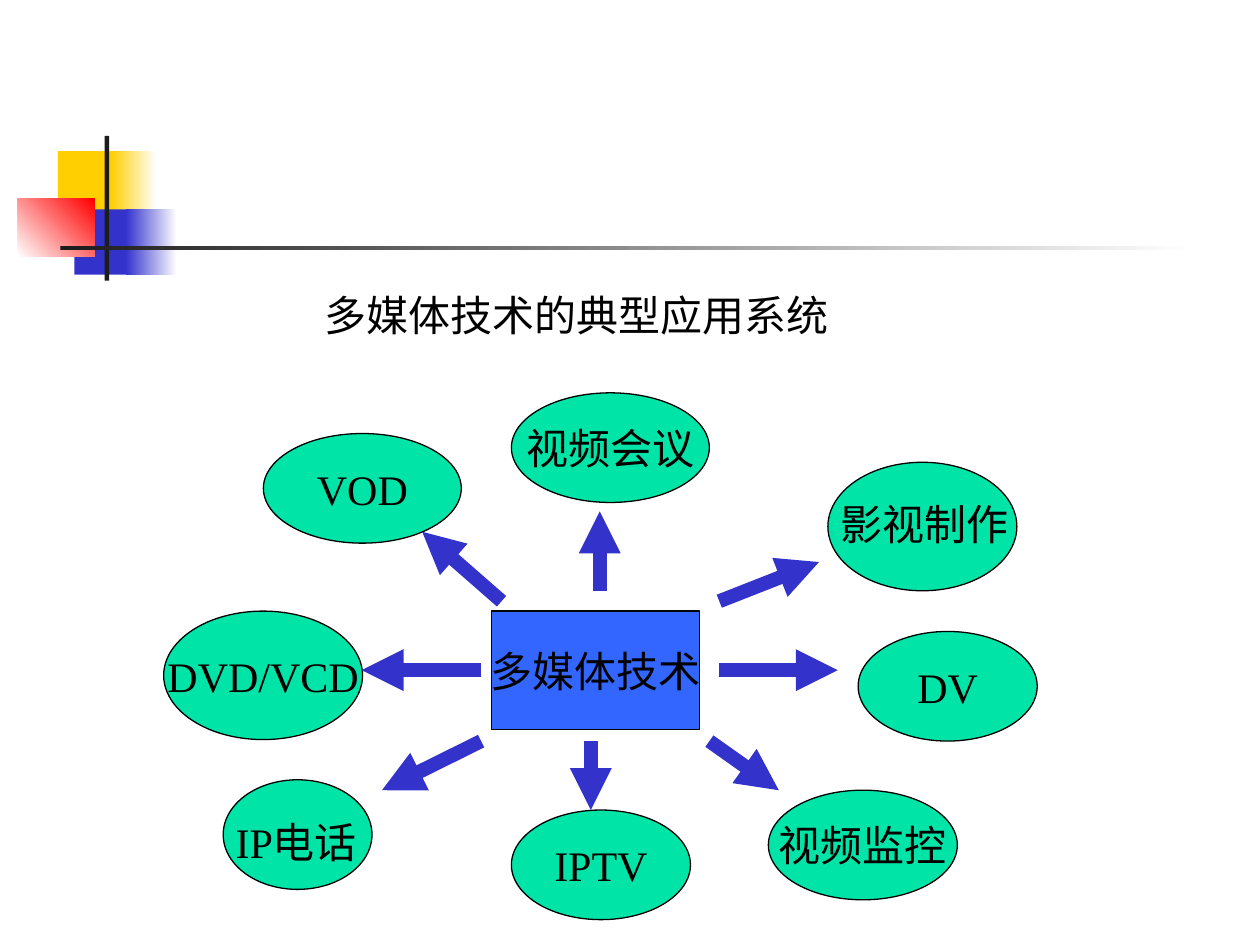
from dataclasses import dataclass
from typing import Optional

from lxml.etree import SubElement
from pptx import Presentation
from pptx.dml.color import RGBColor
from pptx.enum.shapes import MSO_CONNECTOR as Connector, MSO_SHAPE as Preset
from pptx.enum.text import MSO_ANCHOR as Anchor, PP_ALIGN as Align
from pptx.oxml.ns import qn
from pptx.shapes.autoshape import Shape
from pptx.slide import Slide
from pptx.text.text import TextFrame
from pptx.util import Cm, Pt


@dataclass(frozen=True)
class Theme:
    yellow: str = "FFCF01"
    blue: str = "3333CC"
    red: str = "FF0000"
    white: str = "FFFFFF"
    dark: str = "1C1C1C"
    ink: str = "000000"
    bubble: str = "00E4A8"
    hub: str = "3366FF"
    body_font: str = "Times New Roman"
    title_font: str = "Cabin"
    text_size: float = 24
    outline: float = 0.75
    arrow: float = 8


THEME = Theme()


@dataclass(frozen=True)
class Box:
    left: float
    top: float
    width: float
    height: float


@dataclass(frozen=True)
class Block:
    box: Box
    start: str
    end: Optional[str] = None
    angle: float = 0


@dataclass(frozen=True)
class Node:
    box: Box
    text: str = ""
    preset: Preset = Preset.OVAL
    fill: str = THEME.bubble


@dataclass(frozen=True)
class Label:
    box: Box
    text: str
    font: str = THEME.body_font


@dataclass(frozen=True)
class Arrow:
    start: tuple[float, float]
    end: tuple[float, float]


BLOCKS = [
    Block(Box(1.17, 3.05, 1.22, 1.32), THEME.yellow),
    Block(Box(2.24, 3.05, 0.91, 1.32), THEME.yellow, THEME.white),
    Block(Box(1.5, 4.22, 1.17, 1.32), THEME.blue),
    Block(Box(2.54, 4.22, 1.02, 1.32), THEME.blue, THEME.white),
    Block(Box(0.36, 4.01, 1.55, 1.17), THEME.white, THEME.red, 45),
    Block(Box(2.11, 2.74, 0.09, 2.92), THEME.dark),
    Block(Box(1.22, 4.95, 22.86, 0.09), THEME.dark, THEME.white),
]

NODES = [
    Node(Box(9.91, 12.32, 4.19, 2.39), "多媒体技术", Preset.RECTANGLE, THEME.hub),
    Node(Box(10.31, 7.92, 3.99, 2.21), "视频会议"),
    Node(Box(16.69, 9.32, 3.81, 2.59)),
    Node(Box(17.3, 12.73, 3.61, 2.21), "DV"),
    Node(Box(15.49, 15.93, 3.81, 2.21), "视频监控"),
    Node(Box(10.31, 16.33, 3.61, 2.21), "IPTV"),
    Node(Box(4.5, 15.72, 3, 2.21)),
    Node(Box(3.3, 12.32, 4.01, 2.59), "DVD/VCD"),
    Node(Box(5.31, 8.74, 3.99, 2.21), "VOD"),
]

LABELS = [
    Label(Box(4.5, 16.33, 3.2, 1.27), "IP电话"),
    Label(Box(16.69, 9.93, 4.19, 1.27), "影视制作"),
    Label(Box(6.3, 5.72, 12.8, 1.27), "多媒体技术的典型应用系统", THEME.title_font),
]

ARROWS = [
    Arrow((12.09, 11.91), (12.09, 10.31)),
    Arrow((14.5, 12.12), (16.51, 11.33)),
    Arrow((14.5, 13.51), (16.89, 13.51)),
    Arrow((14.3, 14.94), (15.7, 15.93)),
    Arrow((11.91, 14.94), (11.91, 16.33)),
    Arrow((9.7, 14.94), (7.7, 15.93)),
    Arrow((9.7, 13.51), (7.29, 13.51)),
    Arrow((10.11, 12.12), (8.51, 10.72)),
]


def color(value: str) -> RGBColor:
    return RGBColor.from_string(value)


def lengths(box: Box) -> tuple[Cm, Cm, Cm, Cm]:
    return Cm(box.left), Cm(box.top), Cm(box.width), Cm(box.height)


def write(frame: TextFrame, text: str, font: str, align: Align) -> None:
    frame.text = text
    paragraph = frame.paragraphs[0]
    paragraph.alignment = align
    for run in paragraph.runs:
        run.font.name = font
        run.font.size = Pt(THEME.text_size)
        run.font.color.rgb = color(THEME.ink)


def add_solid(slide: Slide, preset: Preset, box: Box, fill: str) -> Shape:
    shape = slide.shapes.add_shape(preset, *lengths(box))
    shape.shadow.inherit = False
    shape.fill.solid()
    shape.fill.fore_color.rgb = color(fill)
    return shape


def draw_block(slide: Slide, block: Block) -> None:
    shape = add_solid(slide, Preset.RECTANGLE, block.box, block.start)
    shape.line.fill.background()
    if block.end:
        shape.fill.gradient()
        shape.fill.gradient_angle = block.angle
        for stop, value in zip(shape.fill.gradient_stops, (block.start, block.end)):
            stop.color.rgb = color(value)


def draw_node(slide: Slide, node: Node) -> None:
    shape = add_solid(slide, node.preset, node.box, node.fill)
    shape.line.color.rgb = color(THEME.ink)
    shape.line.width = Pt(THEME.outline)
    if node.text:
        frame = shape.text_frame
        frame.word_wrap = False
        frame.vertical_anchor = Anchor.MIDDLE
        write(frame, node.text, THEME.body_font, Align.CENTER)


def draw_label(slide: Slide, label: Label) -> None:
    frame = slide.shapes.add_textbox(*lengths(label.box)).text_frame
    frame.word_wrap = True
    write(frame, label.text, label.font, Align.LEFT)


def draw_arrow(slide: Slide, arrow: Arrow) -> None:
    points = [Cm(value) for value in arrow.start + arrow.end]
    connector = slide.shapes.add_connector(Connector.STRAIGHT, *points)
    connector.line.color.rgb = color(THEME.blue)
    connector.line.width = Pt(THEME.arrow)
    SubElement(connector.line._get_or_add_ln(), qn("a:tailEnd"), type="triangle")
    SubElement(connector._element.spPr, qn("a:effectLst"))


def main() -> None:
    presentation = Presentation()
    presentation.slide_width = Cm(25.4)
    presentation.slide_height = Cm(19.05)
    slide = presentation.slides.add_slide(presentation.slide_layouts[6])
    for items, draw in (
        (BLOCKS, draw_block),
        (NODES, draw_node),
        (LABELS, draw_label),
        (ARROWS, draw_arrow),
    ):
        for item in items:
            draw(slide, item)
    presentation.save("out.pptx")


if __name__ == "__main__":
    main()
